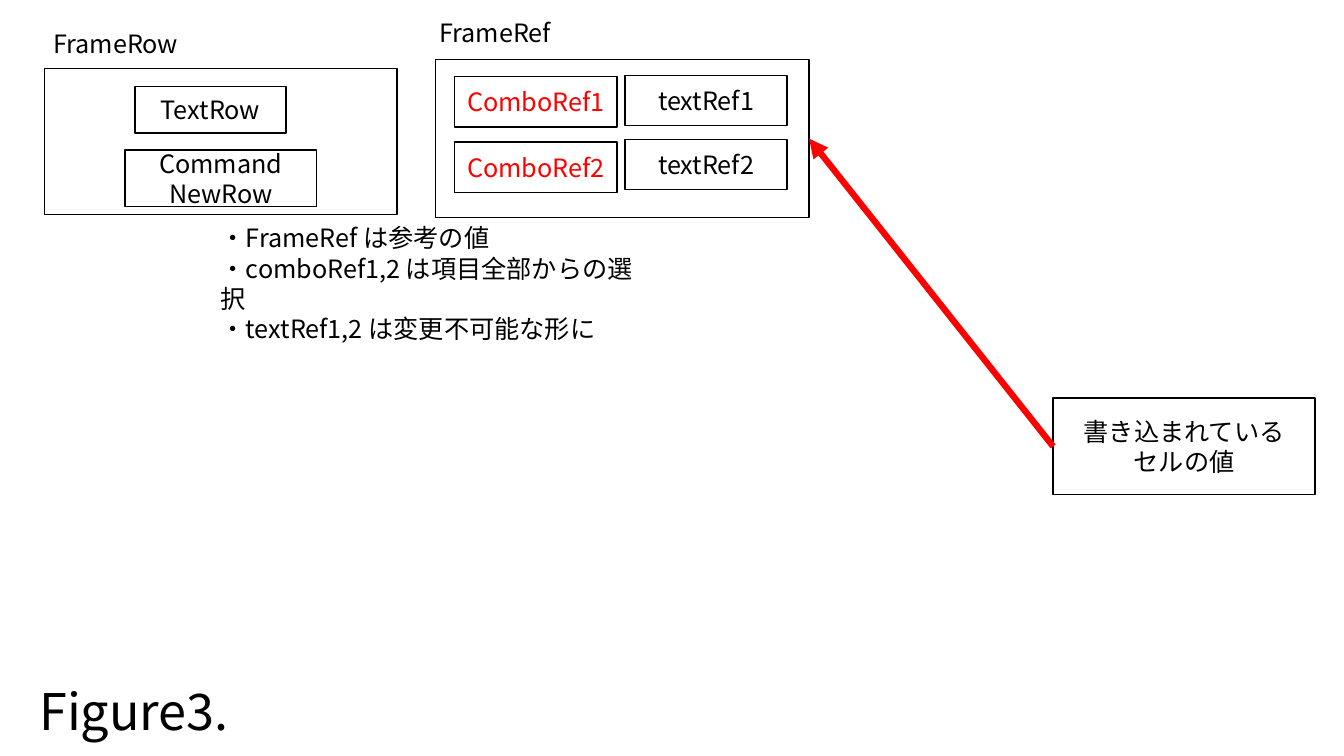
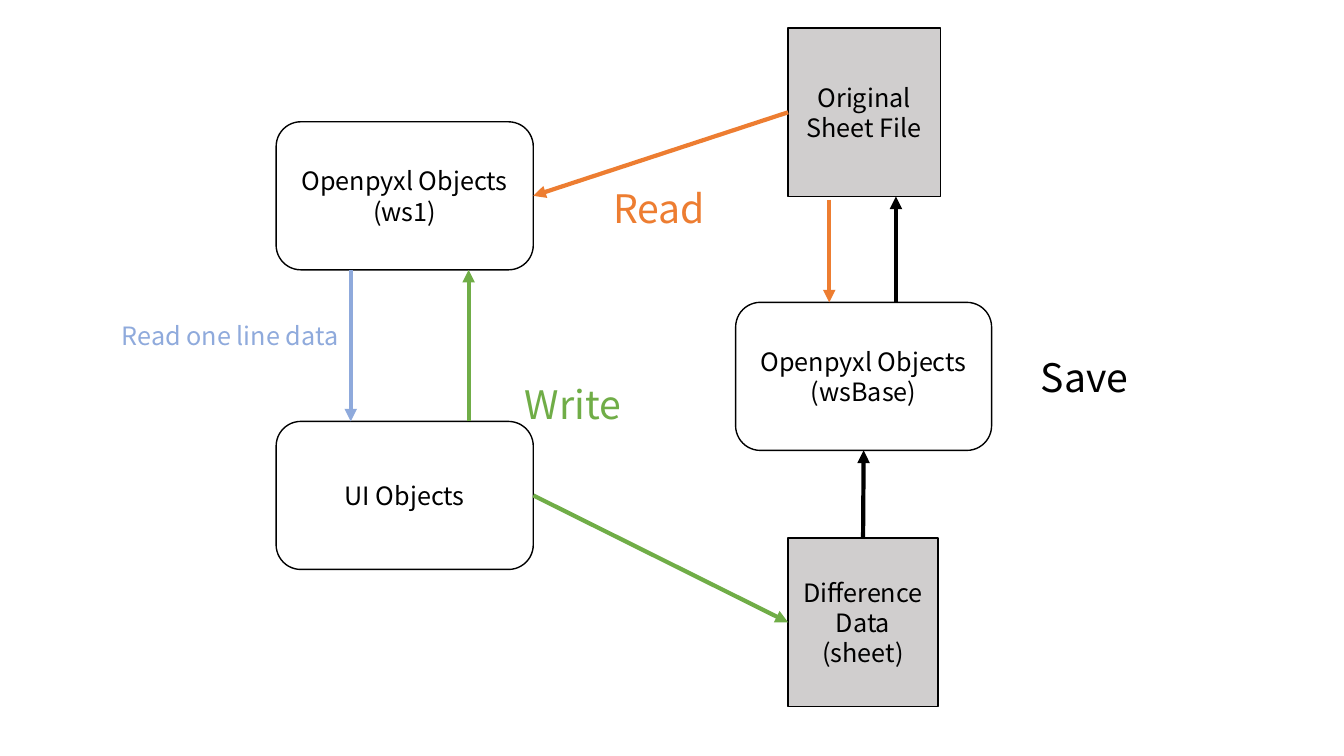
from lxml.etree import SubElement
from pptx import Presentation
from pptx.dml.color import RGBColor
from pptx.enum.shapes import MSO_CONNECTOR, MSO_SHAPE
from pptx.enum.text import MSO_ANCHOR, PP_ALIGN
from pptx.oxml.ns import qn
from pptx.util import Cm, Pt

FONT = "Noto Sans CJK JP"
COLORS = {
    "black": "000000", "white": "FFFFFF", "gray": "D0CECE", "red": "FF0000",
    "orange": "ED7D31", "green": "70AD47", "blue": "8FAADC",
}
TOP, LEFT, BOTTOM, RIGHT = range(4)

REF_FIELDS = [
    ("ComboRef", "red", 11.46, (1.93, 3.58)),
    ("textRef", "black", 15.75, (1.9, 3.51)),
]
FORM = {
    "boxes": [
        {"key": "frame_row", "at": (1.12, 1.73, 8.89, 3.68)},
        {"key": "frame_ref", "at": (10.97, 1.5, 9.42, 3.99)},
        {"key": "text_row", "at": (3.4, 2.18, 3.81, 1.17), "lines": ["TextRow"]},
        {"key": "new_row", "at": (3.15, 3.78, 4.83, 1.42), "lines": ["Command", "NewRow"]},
        {"key": "cell", "at": (26.54, 10.03, 6.6, 2.44),
         "lines": ["書き込まれている", "セルの値"]},
    ] + [
        {"key": f"{name}{i}", "at": (x, y, 4.09, 1.27), "lines": [f"{name}{i}"], "color": color}
        for name, color, x, tops in REF_FIELDS
        for i, y in enumerate(tops, 1)
    ],
    "labels": [
        {"at": (0.74, 17.02, 5.87, 1.8), "lines": ["Figure3."], "size": 36},
        {"at": (1.09, 0.58, 4.39, 1.8), "lines": ["FrameRow"]},
        {"at": (10.82, 0.3, 4.39, 1.8), "lines": ["FrameRef"]},
        {"at": (5.31, 5.49, 10.95, 3.33),
         "lines": ["・FrameRef は参考の値", "・comboRef1,2 は項目全部からの選択",
                   "・textRef1,2 は変更不可能な形に"]},
    ],
    "joins": [("cell", LEFT, "frame_ref", RIGHT, "red", 4.5)],
    "arrows": [],
}
FLOW = {
    "boxes": [
        {"key": "source", "at": (19.86, 0.71, 3.84, 4.24), "lines": ["Original", "Sheet File"],
         "fill": "gray"},
        {"key": "ws1", "at": (6.96, 3.07, 6.48, 3.73), "lines": ["Openpyxl Objects", "(ws1)"],
         "rounded": True},
        {"key": "ui", "at": (6.96, 10.62, 6.48, 3.73), "lines": ["UI Objects"], "rounded": True},
        {"key": "diff", "at": (19.86, 13.56, 3.78, 4.24),
         "lines": ["Difference", "Data", "(sheet)"], "fill": "gray"},
        {"key": "base", "at": (18.54, 7.62, 6.45, 3.73), "lines": ["Openpyxl Objects", "(wsBase)"],
         "rounded": True},
    ],
    "labels": [
        {"at": (15.21, 4.52, 3.84, 1.45), "lines": ["Read"], "size": 28, "color": "orange"},
        {"at": (2.82, 7.95, 6.05, 1.02), "lines": ["Read one line data"], "color": "blue",
         "wrap": False},
        {"at": (12.98, 9.47, 3.84, 1.45), "lines": ["Write"], "size": 28, "color": "green"},
        {"at": (25.98, 8.79, 2.74, 1.45), "lines": ["Save"], "size": 28, "wrap": False},
    ],
    "joins": [
        ("source", LEFT, "ws1", RIGHT, "orange", 3),
        ("ui", RIGHT, "diff", LEFT, "green", 3),
        ("diff", TOP, "base", BOTTOM, "black", 3),
    ],
    "arrows": [
        (8.84, 6.8, 10.62, "blue"),
        (11.81, 10.62, 6.8, "green"),
        (22.58, 7.62, 4.95, "black"),
        (20.9, 5.03, 7.62, "orange"),
    ],
}


def rgb(name):
    return RGBColor.from_string(COLORS[name])


def write(tf, lines, size=18, color="black", align=PP_ALIGN.LEFT, anchor=MSO_ANCHOR.TOP, wrap=True):
    tf.word_wrap = wrap
    tf.vertical_anchor = anchor
    for i, line in enumerate(lines):
        p = tf.add_paragraph() if i else tf.paragraphs[0]
        p.alignment = align
        r = p.add_run()
        r.text = line
        r.font.size = Pt(size)
        r.font.name = FONT
        r.font.color.rgb = rgb(color)
        SubElement(r.font._element, qn("a:ea"), typeface=FONT)


def add_box(s, at, lines=(), fill="white", color="black", rounded=False):
    kind = MSO_SHAPE.ROUNDED_RECTANGLE if rounded else MSO_SHAPE.RECTANGLE
    sp = s.shapes.add_shape(kind, *map(Cm, at))
    sp.shadow.inherit = False
    sp.fill.solid()
    sp.fill.fore_color.rgb = rgb(fill)
    sp.line.color.rgb = rgb("black")
    sp.line.width = Pt(1)
    write(sp.text_frame, lines, color=color, align=PP_ALIGN.CENTER, anchor=MSO_ANCHOR.MIDDLE)
    return sp


def add_arrow(s, color, width, x=0, y1=0, y2=0):
    c = s.shapes.add_connector(MSO_CONNECTOR.STRAIGHT, Cm(x), Cm(y1), Cm(x), Cm(y2))
    c.line.color.rgb = rgb(color)
    c.line.width = Pt(width)
    SubElement(c.line._get_or_add_ln(), qn("a:tailEnd"), type="triangle")
    SubElement(c._element.spPr, qn("a:effectLst"))
    return c


def build(prs, content):
    s = prs.slides.add_slide(prs.slide_layouts[6])
    boxes = {}
    for box in content["boxes"]:
        style = {k: v for k, v in box.items() if k != "key"}
        boxes[box["key"]] = add_box(s, **style)
    for start, start_side, end, end_side, color, width in content["joins"]:
        c = add_arrow(s, color, width)
        c.begin_connect(boxes[start], start_side)
        c.end_connect(boxes[end], end_side)
    for x, y1, y2, color in content["arrows"]:
        add_arrow(s, color, 3, x, y1, y2)
    for label in content["labels"]:
        style = {k: v for k, v in label.items() if k != "at"}
        write(s.shapes.add_textbox(*map(Cm, label["at"])).text_frame, **style)


def main():
    prs = Presentation()
    prs.slide_width, prs.slide_height = Cm(33.87), Cm(19.05)
    for content in (FORM, FLOW):
        build(prs, content)
    prs.save("out.pptx")


if __name__ == "__main__":
    main()
